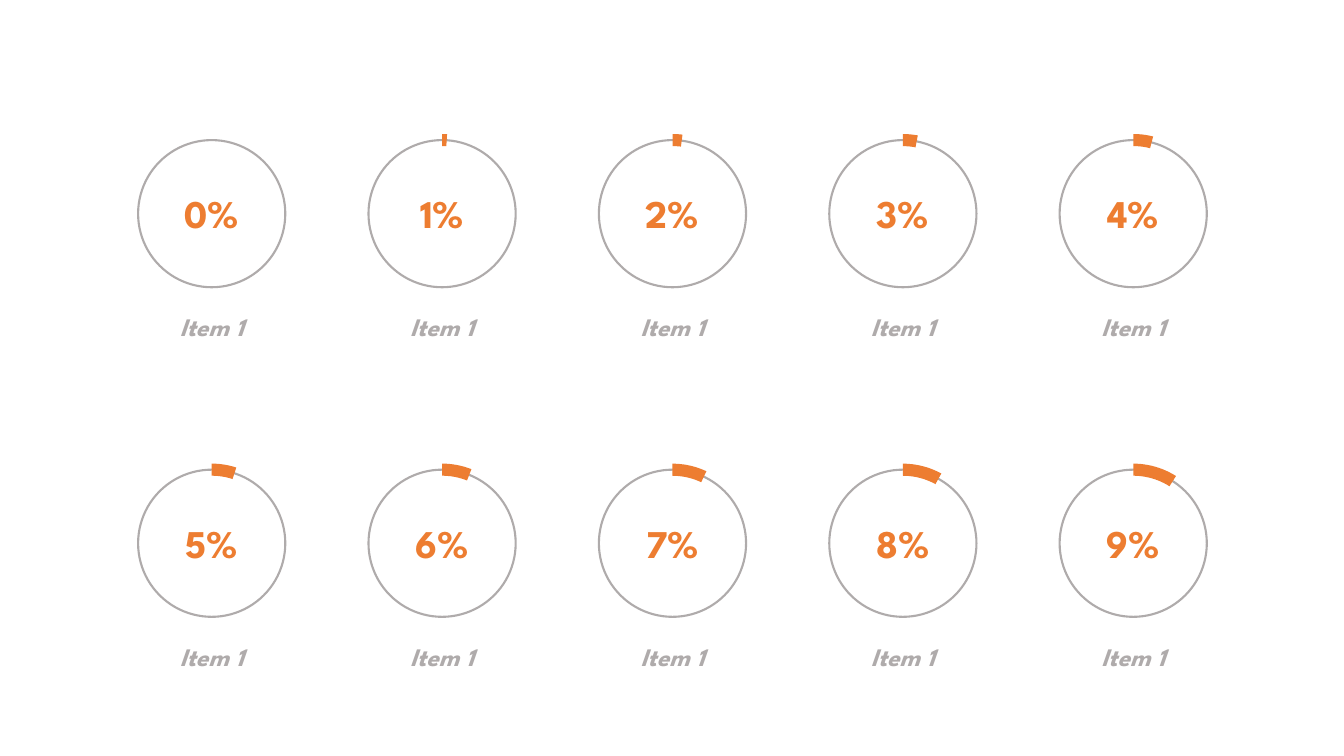
from dataclasses import dataclass
from math import cos, radians, sin

from pptx import Presentation
from pptx.dml.color import RGBColor
from pptx.enum.shapes import MSO_SHAPE
from pptx.enum.text import MSO_AUTO_SIZE, PP_ALIGN
from pptx.util import Pt

OVAL = MSO_SHAPE.OVAL
FIT_TEXT = MSO_AUTO_SIZE.SHAPE_TO_FIT_TEXT
CENTER = PP_ALIGN.CENTER

EMU_PER_PX = 9144  # 100 px to the inch
SLIDE_WIDTH, SLIDE_HEIGHT = 1333, 750
BLANK_LAYOUT = 6

COLUMNS = 5
FIRST_LEFT, LAST_LEFT = 137, 1051
ROW_TOPS = (139, 466)
DIAMETER = 146
ARC_THICKNESS = 12
ARC_STEPS = 12


@dataclass(frozen=True)
class Theme:
    font: str = "League Spartan"
    accent: RGBColor = RGBColor(0xED, 0x7D, 0x31)
    muted: RGBColor = RGBColor(0xAF, 0xAB, 0xAB)
    value_size: Pt = Pt(28)
    label_size: Pt = Pt(18)
    ring_width: Pt = Pt(1.5)


THEME = Theme()


def px(length):
    return round(length * EMU_PER_PX)


def add_text(group, box, text, size, color, italic=False):
    text_box = group.shapes.add_textbox(*map(px, box))
    frame = text_box.text_frame
    frame.word_wrap = True
    frame.auto_size = FIT_TEXT
    paragraph = frame.paragraphs[0]
    paragraph.text = text
    paragraph.alignment = CENTER
    font = paragraph.font
    font.name, font.size, font.color.rgb = THEME.font, size, color
    font.bold, font.italic = True, italic


def add_ring(group, left, top):
    ring = group.shapes.add_shape(OVAL, *map(px, (left, top, DIAMETER, DIAMETER)))
    ring.shadow.inherit = False
    ring.fill.background()
    ring.line.color.rgb = THEME.muted
    ring.line.width = THEME.ring_width


def add_arc(group, left, top, percent):
    """Draw a thick arc clockwise from twelve o'clock, centred on the ring."""
    radius = DIAMETER / 2
    center_x, center_y = left + radius, top + radius
    angles = [radians(3.6 * percent * step / ARC_STEPS) for step in range(ARC_STEPS + 1)]

    def edge(distance, sweep):
        return [(px(center_x + distance * sin(angle)), px(center_y - distance * cos(angle)))
                for angle in sweep]

    points = (edge(radius + ARC_THICKNESS / 2, angles)
              + edge(radius - ARC_THICKNESS / 2, reversed(angles)))
    builder = group.shapes.build_freeform(*points[0])
    builder.add_line_segments(points[1:], close=True)
    arc = builder.convert_to_shape()
    arc.shadow.inherit = False
    arc.fill.solid()
    arc.fill.fore_color.rgb = THEME.accent
    arc.line.fill.background()


def add_gauge(slide, left, top, percent, label):
    group = slide.shapes.add_group_shape()
    add_ring(group, left, top)
    add_text(group, (left - 2, top + 44, 150, 57), f"{percent}%",
             THEME.value_size, THEME.accent)
    add_text(group, (left - 39, top + 165, 224, 40), label,
             THEME.label_size, THEME.muted, italic=True)
    if percent:
        add_arc(group, left, top, percent)


def add_gauge_grid(slide):
    for percent in range(COLUMNS * len(ROW_TOPS)):
        row, column = divmod(percent, COLUMNS)
        left = FIRST_LEFT + (LAST_LEFT - FIRST_LEFT) * column / (COLUMNS - 1)
        add_gauge(slide, left, ROW_TOPS[row], percent, "Item 1")


def main():
    presentation = Presentation()
    presentation.slide_width = px(SLIDE_WIDTH)
    presentation.slide_height = px(SLIDE_HEIGHT)
    slide = presentation.slides.add_slide(presentation.slide_layouts[BLANK_LAYOUT])
    add_gauge_grid(slide)
    presentation.save("out.pptx")


if __name__ == "__main__":
    main()
